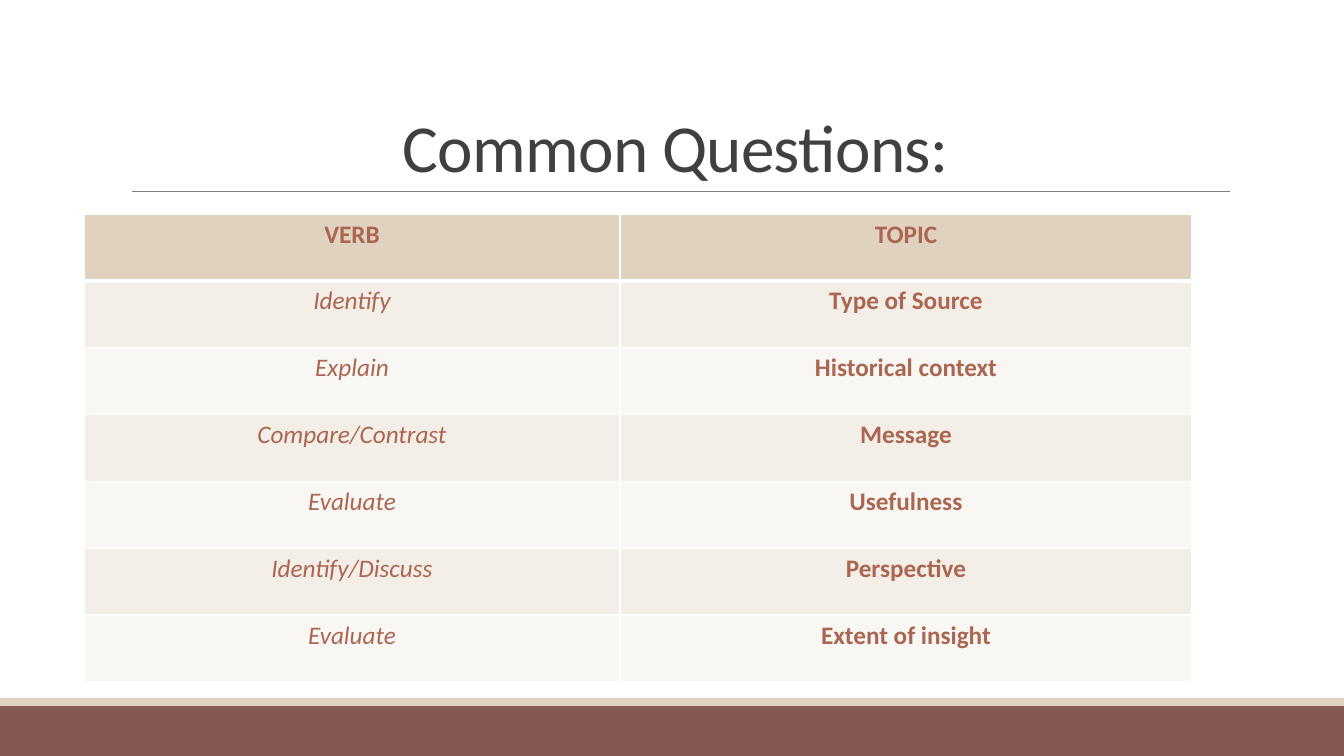
"""Build the "Common Questions" slide with its verb and topic table."""
from lxml import etree
from pptx import Presentation
from pptx.dml.color import RGBColor
from pptx.enum.shapes import MSO_CONNECTOR, MSO_SHAPE
from pptx.enum.text import MSO_ANCHOR, MSO_AUTO_SIZE, PP_ALIGN
from pptx.oxml.ns import qn
from pptx.util import Emu, Pt

TITLE = "Common Questions:"
ROWS = [
    ("VERB", "TOPIC"),
    ("Identify", "Type of Source"),
    ("Explain", "Historical context"),
    ("Compare/Contrast", "Message"),
    ("Evaluate", "Usefulness"),
    ("Identify/Discuss", "Perspective"),
    ("Evaluate", "Extent of insight"),
]

BROWN = RGBColor(0x86, 0x58, 0x52)
SAND = RGBColor(0xE1, 0xD2, 0xBF)
GRAY = RGBColor(0x80, 0x80, 0x80)
DARK = RGBColor(0x40, 0x40, 0x40)
RUST = RGBColor(0xAA, 0x66, 0x50)
WHITE = RGBColor(0xFF, 0xFF, 0xFF)
BANDS = (RGBColor(0xF9, 0xF7, 0xF4), RGBColor(0xF4, 0xEE, 0xE8))

FONT = "Calibri"
CENTER = PP_ALIGN.CENTER
BOTTOM = MSO_ANCHOR.BOTTOM
NO_FIT = MSO_AUTO_SIZE.NONE
RECT = MSO_SHAPE.RECTANGLE
STRAIGHT = MSO_CONNECTOR.STRAIGHT

SLIDE_W, SLIDE_H = 1344, 756
TITLE_BOX = (121, 31, 1109, 160)
RULE = (132, 191, 1230, 191)
STRIPES = [(706, 50, BROWN), (698, 8, SAND)]
TABLE_X, TABLE_Y, TABLE_H = 84, 214, 468
COL_WIDTHS = (536, 572)


def px(n):
    return Emu(round(n * 914400 / 100.8))


def set_border(cell, side, width):
    tcPr = cell._tc.get_or_add_tcPr()
    ln = etree.SubElement(tcPr, qn("a:ln" + side), w=str(Pt(width)))
    fill = etree.SubElement(ln, qn("a:solidFill"))
    etree.SubElement(fill, qn("a:srgbClr"), val=str(WHITE))


def add_stripe(slide, y, h, color):
    sp = slide.shapes.add_shape(RECT, 0, px(y), px(SLIDE_W), px(h))
    sp.shadow.inherit = False
    sp.fill.solid()
    sp.fill.fore_color.rgb = color
    sp.line.fill.background()


def add_rule(slide):
    line = slide.shapes.add_connector(STRAIGHT, *map(px, RULE))
    line.line.color.rgb = GRAY
    line.line.width = Pt(0.5)
    etree.SubElement(line._element.spPr, qn("a:effectLst"))


def set_title(slide):
    sp = slide.shapes.title
    sp.left, sp.top, sp.width, sp.height = map(px, TITLE_BOX)
    tf = sp.text_frame
    tf.text = TITLE
    tf.word_wrap = True
    tf.auto_size = NO_FIT
    tf.vertical_anchor = BOTTOM
    p = tf.paragraphs[0]
    p.alignment = CENTER
    p.line_spacing = 0.85
    r = p.runs[0]
    r.font.name = FONT
    r.font.size = Pt(48)
    r.font.color.rgb = DARK
    r.font._element.set("spc", "-50")


def fill_cell(cell, text, row, col):
    for side in "LRTB":
        thick = (row, side) in ((0, "B"), (1, "T"))
        set_border(cell, side, 3 if thick else 1)
    cell.fill.solid()
    cell.fill.fore_color.rgb = BANDS[row % 2] if row else SAND
    cell.text = text
    p = cell.text_frame.paragraphs[0]
    p.alignment = CENTER
    font = p.runs[0].font
    font.name = FONT
    font.size = Pt(18)
    font.color.rgb = RUST
    font.italic = row > 0 and col == 0
    font.bold = not font.italic


def add_questions(slide):
    table = slide.shapes.add_table(
        len(ROWS), len(COL_WIDTHS), px(TABLE_X), px(TABLE_Y),
        px(sum(COL_WIDTHS)), px(TABLE_H)).table
    for column, width in zip(table.columns, COL_WIDTHS):
        column.width = px(width)
    for i, texts in enumerate(ROWS):
        table.rows[i].height = px(TABLE_H / len(ROWS))
        for j, text in enumerate(texts):
            fill_cell(table.cell(i, j), text, i, j)


def main():
    prs = Presentation()
    prs.slide_width, prs.slide_height = px(SLIDE_W), px(SLIDE_H)
    slide = prs.slides.add_slide(prs.slide_layouts[5])
    for stripe in STRIPES:
        add_stripe(slide, *stripe)
    add_rule(slide)
    set_title(slide)
    add_questions(slide)
    prs.save("out.pptx")


if __name__ == "__main__":
    main()
